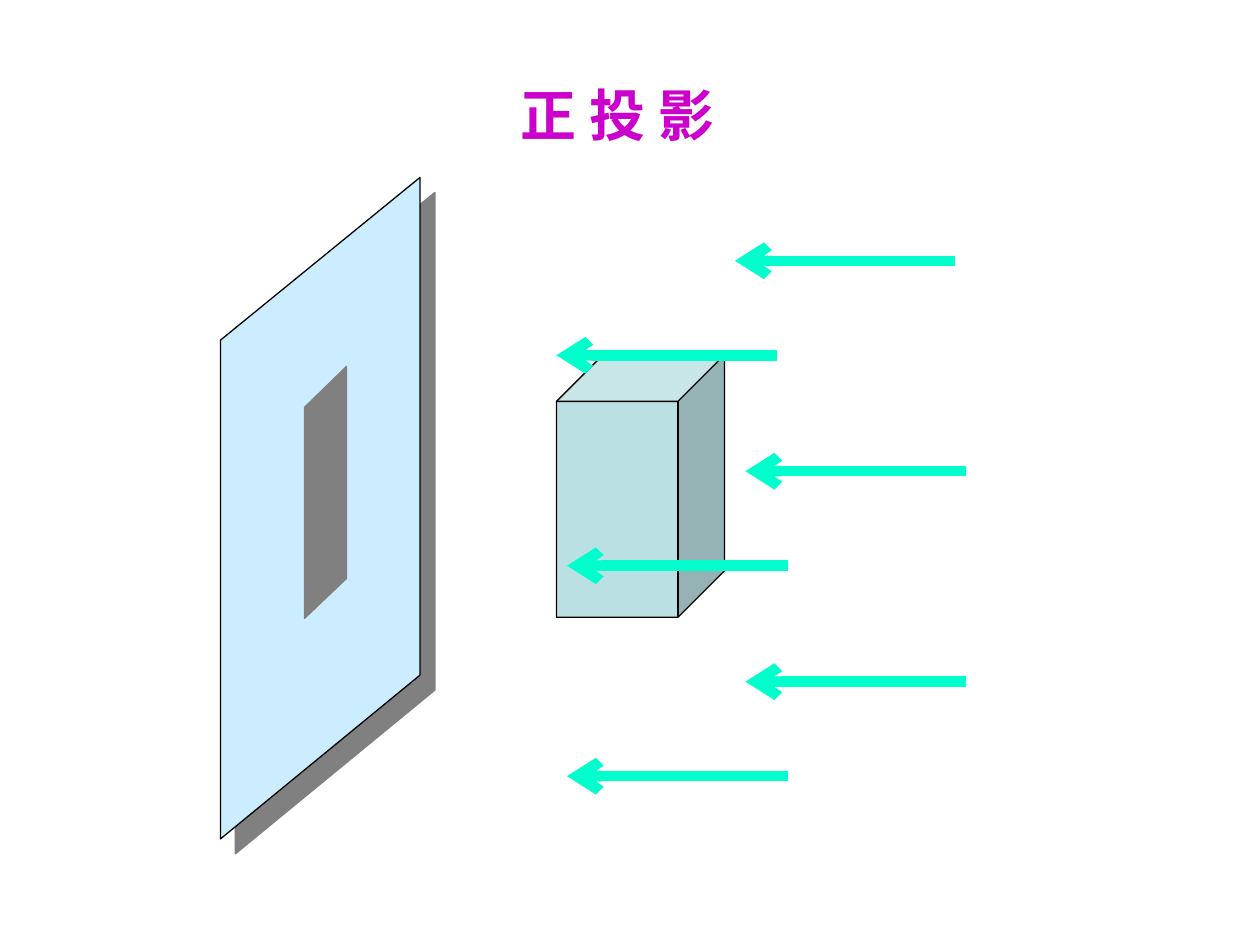
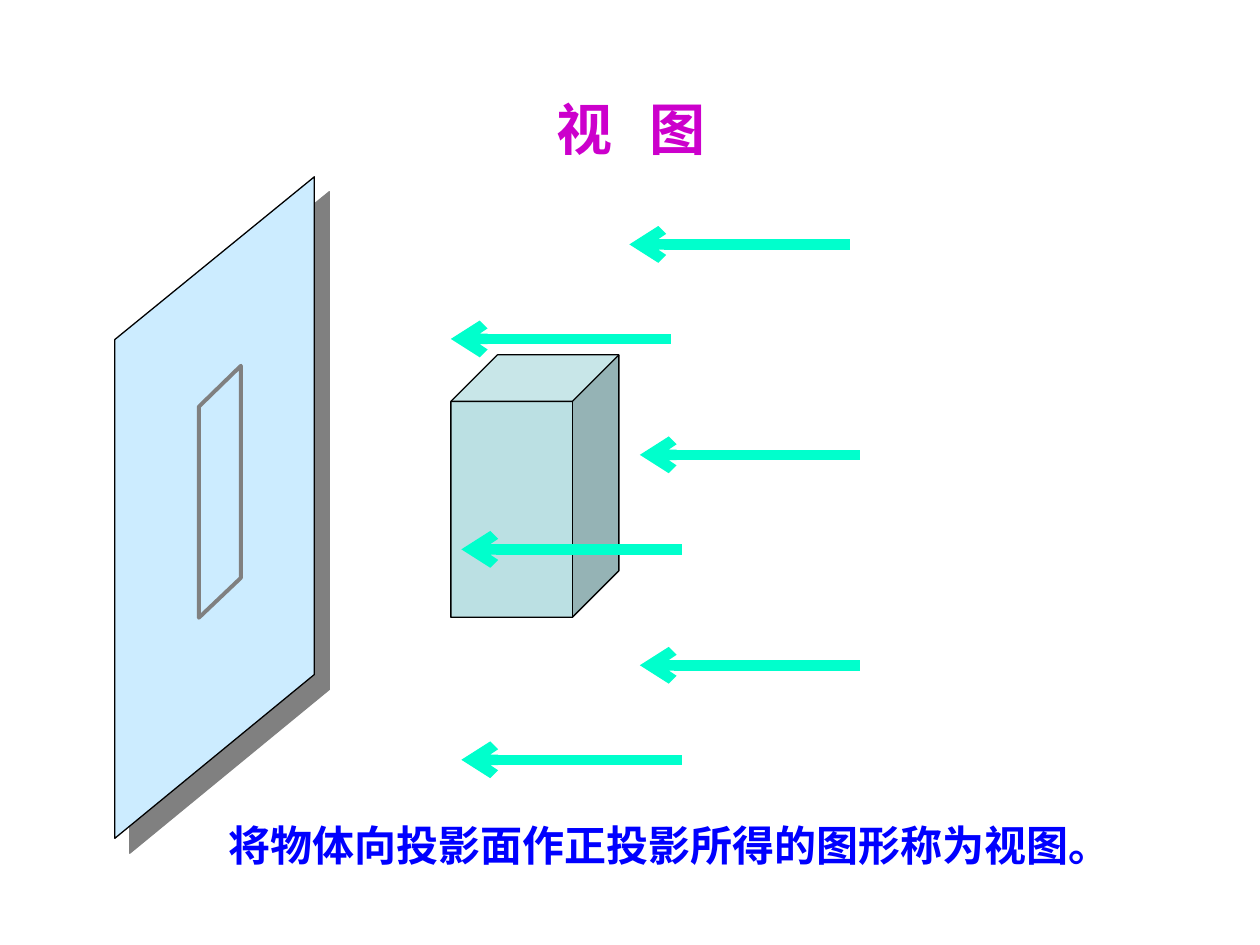
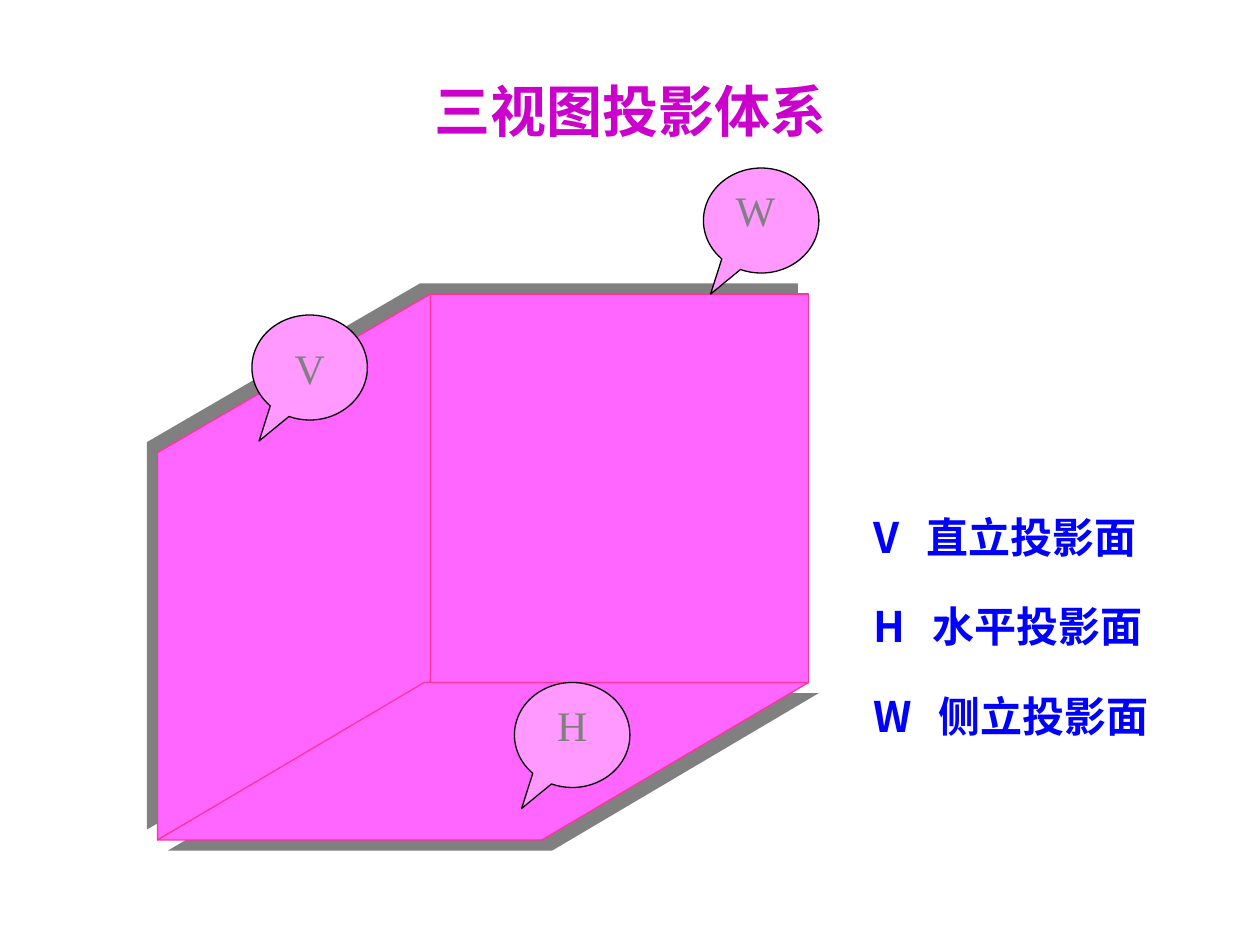
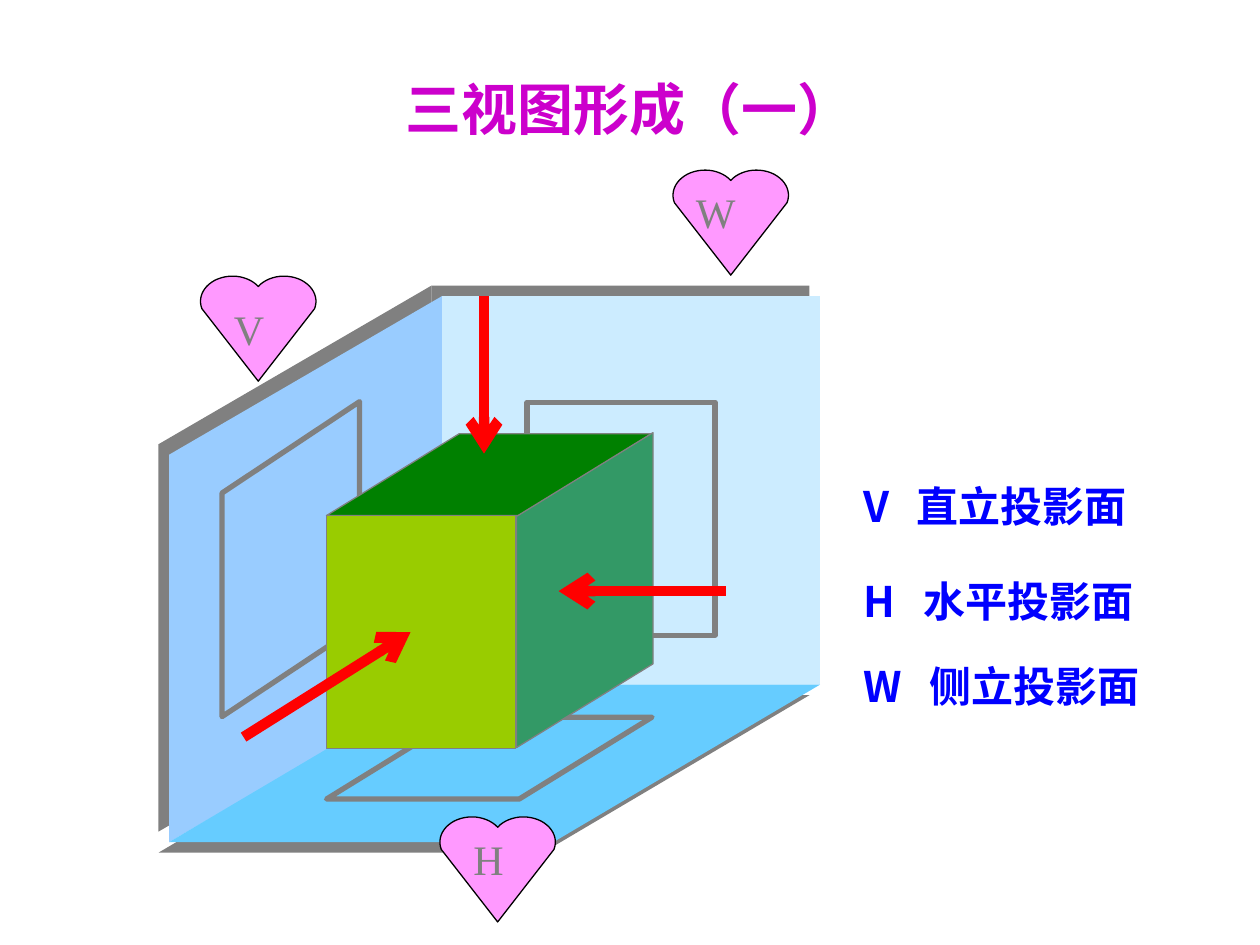
import math
from dataclasses import dataclass

import pptx
import pptx.dml.color
import pptx.enum.shapes
import pptx.enum.text
import pptx.oxml
import pptx.oxml.ns
import pptx.util

Preset = pptx.enum.shapes.MSO_SHAPE
Align = pptx.enum.text.PP_ALIGN
Anchor = pptx.enum.text.MSO_ANCHOR
Fit = pptx.enum.text.MSO_AUTO_SIZE
qn = pptx.oxml.ns.qn


@dataclass(frozen=True)
class Theme:
    title: str = "CC00CC"
    body: str = "0000FF"
    gray: str = "808080"
    black: str = "000000"
    ray: str = "00FFCC"
    sight: str = "FF0000"
    block: str = "BBE0E3"
    wall: str = "CCECFF"
    side: str = "99CCFF"
    floor: str = "66CCFF"
    pink: str = "FF66FF"
    pink_edge: str = "FF3399"
    mark: str = "FF99FF"
    block_top: str = "008000"
    block_front: str = "99CC00"
    block_right: str = "339966"
    sans: str = "Noto Sans CJK SC"
    serif: str = "Times New Roman"
    title_size: int = 32
    body_size: int = 24
    hairline: float = 0.75
    outline: float = 3
    arrow: float = 6


THEME = Theme()
COLUMNS, ROWS = 120, 90
PLANES = {"V": "直立投影面", "H": "水平投影面", "W": "侧立投影面"}
LABEL_OFFSETS = {"V": (2, 0), "H": (2, -1), "W": (1, -1)}


def apply(target, values):
    for name, value in values.items():
        setattr(target, name, value)


def rgb(value):
    return pptx.dml.color.RGBColor.from_string(value)


def add_xml(parent, tag, **values):
    child = pptx.oxml.parse_xml(f'<a:{tag} {pptx.oxml.ns.nsdecls("a")}/>')
    for name, value in values.items():
        child.set(name, str(value))
    parent.append(child)
    return child


class Board:
    def __init__(self, theme):
        self.theme = theme
        self.deck = pptx.Presentation()
        apply(self.deck, {"slide_width": pptx.util.Inches(10), "slide_height": pptx.util.Inches(7.5)})
        self.column = self.deck.slide_width / COLUMNS
        self.row = self.deck.slide_height / ROWS
        self.page = None

    def new_page(self):
        self.page = self.deck.slides.add_slide(self.deck.slide_layouts[6])

    def place(self, *lengths):
        units = (self.column, self.row) * 2
        return [round(length * unit) for length, unit in zip(lengths, units)]

    def paint(self, shape, fill=None, line=None, width=None, shadow=None):
        if fill:
            shape.fill.solid()
            shape.fill.fore_color.rgb = rgb(fill)
        else:
            shape.fill.background()
        if line:
            shape.line.color.rgb = rgb(line)
            shape.line.width = pptx.util.Pt(width or self.theme.hairline)
        else:
            shape.line.fill.background()
        shape.shadow.inherit = False
        if shadow:
            distance, angle = shadow
            effects = shape.element.spPr.find(qn("a:effectLst"))
            outer = add_xml(effects, "outerShdw", dist=pptx.util.Pt(distance),
                            dir=angle * 60000, algn="ctr", rotWithShape=0)
            add_xml(outer, "srgbClr", val=self.theme.gray)
        return shape

    def preset(self, kind, area, adjust=(), upright=False, **style):
        shape = self.page.shapes.add_shape(kind, *self.place(*area))
        for index, value in enumerate(adjust):
            shape.adjustments[index] = value
        if upright:
            shape.rotation = 90
            shape.element.spPr.find(qn("a:xfrm")).set("flipH", "1")
        return self.paint(shape, **style)

    def slanted(self, area, adjust, **style):
        return self.preset(Preset.PARALLELOGRAM, area, (adjust,), **style)

    def outline(self, points, **style):
        corners = [self.place(*point) for point in points]
        builder = self.page.shapes.build_freeform(*corners[0])
        builder.add_line_segments(corners[1:], close=True)
        return self.paint(builder.convert_to_shape(), **style)

    def arrow(self, tip, tail, color):
        connector = self.page.shapes.add_connector(
            pptx.enum.shapes.MSO_CONNECTOR.STRAIGHT, *self.place(*tip, *tail))
        connector.line.color.rgb = rgb(color)
        connector.line.width = pptx.util.Pt(self.theme.arrow)
        properties = connector.element.spPr
        add_xml(properties.find(qn("a:ln")), "headEnd", type="arrow")
        add_xml(properties, "effectLst")

    def set_text(self, box, text, color, size, font, bold=True, align=Align.LEFT,
                 anchor=Anchor.TOP, fit=Fit.NONE, tab=None, tracking=None):
        frame = box.text_frame
        apply(frame, {"word_wrap": True, "auto_size": fit, "vertical_anchor": anchor})
        para = frame.paragraphs[0]
        para.alignment = align
        if tab:
            stops = add_xml(para._p.get_or_add_pPr(), "tabLst")
            add_xml(stops, "tab", pos=pptx.util.Inches(tab), algn="l")
        span = para.add_run()
        span.text = text
        apply(span.font, {"size": pptx.util.Pt(size), "bold": bold, "name": font})
        span.font.color.rgb = rgb(color)
        properties = span._r.get_or_add_rPr()
        add_xml(properties, "ea", typeface=self.theme.sans)
        if tracking:
            properties.set("spc", str(tracking * 100))

    def text(self, area, text, *style, **layout):
        box = self.page.shapes.add_textbox(*self.place(*area))
        self.set_text(box, text, *style, **layout)

    def title(self, area, text, tracking=None):
        self.text(area, text, self.theme.title, self.theme.title_size, self.theme.sans,
                  align=Align.CENTER, anchor=Anchor.MIDDLE, tracking=tracking)

    def body(self, area, text, font, tab=None):
        self.text(area, text, self.theme.body, self.theme.body_size, font,
                  fit=Fit.SHAPE_TO_FIT_TEXT, tab=tab)

    def legend(self, left, tops):
        for index, (letter, name) in enumerate(PLANES.items()):
            self.body((left, tops[index], 38, 6), f"{letter}\t{name}",
                      self.theme.sans, tab=0.42 + 0.05 * index)

    def letter(self, box, letter):
        self.set_text(box, letter, self.theme.gray, self.theme.body_size, self.theme.serif,
                      bold=False, anchor=Anchor.MIDDLE)

    def callout(self, left, top, letter):
        right, down = LABEL_OFFSETS[letter]
        kind, adjust = Preset.OVAL_CALLOUT, (-0.438, 0.7)
        self.preset(kind, (left, top, 11, 10), adjust, fill=self.theme.mark, line=self.theme.black)
        self.letter(self.preset(kind, (left + right, top + down, 6, 10), adjust), letter)

    def heart(self, left, top, letter):
        right, down = LABEL_OFFSETS[letter]
        steps = 24
        angles = [math.radians(197 - 161 * step / steps) for step in range(steps + 1)]
        lobe = [(0.277 * (1 + math.cos(a)), 0.24 * (1 - math.sin(a))) for a in angles]
        shares = [(0.5, 1)] + lobe + [(1 - x, y) for x, y in reversed(lobe[:-1])]
        self.outline([(left + 11 * x, top + 10 * y) for x, y in shares],
                     fill=self.theme.mark, line=self.theme.black)
        box = self.page.shapes.add_textbox(*self.place(left + right, top + down, 6, 10))
        self.letter(box, letter)

    def projection(self, shift, lift, ray_lift, **image):
        def moved(points):
            return [(x + shift, y + lift) for x, y in points]

        self.preset(Preset.CUBE, (53 + shift, 33.8, 16, 25), (0.277,),
                    fill=self.theme.block, line=self.theme.black)
        self.outline(moved([(21, 32.4), (21, 79.9), (40, 64.3), (40, 16.9)]),
                     fill=self.theme.wall, line=self.theme.black, shadow=(12.1, 45))
        for first, top in ((70, 24.84), (53, 33.84)):
            for index in range(3):
                left = first + min(index, 1) + shift
                height = top + 20.04 * index + ray_lift
                self.arrow((left, height), (left + 21, height), self.theme.ray)
        self.outline(moved([(29, 38.8), (29, 58.9), (33, 55.1), (33, 34.9)]), **image)

    def room(self, left, top, colors, line=None, shadows=(None, None)):
        wall, side, floor = colors
        back, under = shadows
        self.preset(Preset.RECTANGLE, (left + 26, top, 36, 37), fill=wall, line=line, shadow=back)
        self.slanted((left - 13, top + 13, 52, 26), 0.581, upright=True,
                     fill=side, line=line, shadow=back)
        self.slanted((left, top + 37, 62, 15), 1.693, fill=floor, line=line, shadow=under)


def main():
    board = Board(THEME)
    planes = (THEME.wall, THEME.side, THEME.floor)

    board.new_page()
    board.projection(0, 0, 0, fill=THEME.gray, line=THEME.gray)
    board.title((35.6, 5.4, 46.4, 11), "正 投 影")

    board.new_page()
    board.projection(-10.06, -0.06, -1.56, line=THEME.gray, width=2.25)
    board.title((39.4, 7.2, 41.4, 10), "视 图", tracking=7)
    board.body((20.6, 77.5, 91, 6), "将物体向投影面作正投影所得的图形称为视图。", THEME.serif)

    board.new_page()
    board.room(15, 28, planes, shadows=((8.5, 225), (8.5, 45)))
    board.room(15, 28, (THEME.pink,) * 3, line=THEME.pink_edge)
    board.title((34.1, 4, 52, 13), "三视图投影体系")
    board.legend(82, (48.1, 56.6, 65.2))
    for left, top, letter in ((24, 30, "V"), (49, 65, "H"), (67, 16, "W")):
        board.callout(left, top, letter)

    board.new_page()
    board.room(16.1, 28.2, planes, shadows=((8.5, 225), (8.5, 135)))
    board.title((30.5, 3.8, 59, 13), "三视图形成（一）")
    board.legend(81.1, (45.2, 54.2, 62.3))
    view = {"line": THEME.gray, "width": THEME.outline}
    board.slanted((31.1, 68.3, 31, 7.8), 1.622, **view)
    board.slanted((12.7, 46.7, 30, 13.1), 0.664, upright=True, **view)
    board.preset(Preset.RECTANGLE, (50.2, 38.3, 17.9, 22.2), **view)
    board.slanted((31.1, 41.3, 31, 7.8), 1.622, fill=THEME.block_top, line=THEME.gray)
    board.preset(Preset.RECTANGLE, (31.1, 49.1, 18, 22.2), fill=THEME.block_front, line=THEME.gray)
    board.slanted((40.7, 49.7, 30, 13), 0.614, upright=True, fill=THEME.block_right, line=THEME.gray)
    for tip, tail in (((53.2, 56.3), (69.1, 56.3)), ((46.1, 43.2), (46.1, 28.2)),
                      ((39.1, 60.2), (23.2, 70.2))):
        board.arrow(tip, tail, THEME.sight)
    for left, top, letter in ((19.1, 26.3, "V"), (64.1, 16.2, "W"), (41.9, 77.8, "H")):
        board.heart(left, top, letter)

    board.deck.save("out.pptx")


if __name__ == "__main__":
    main()
